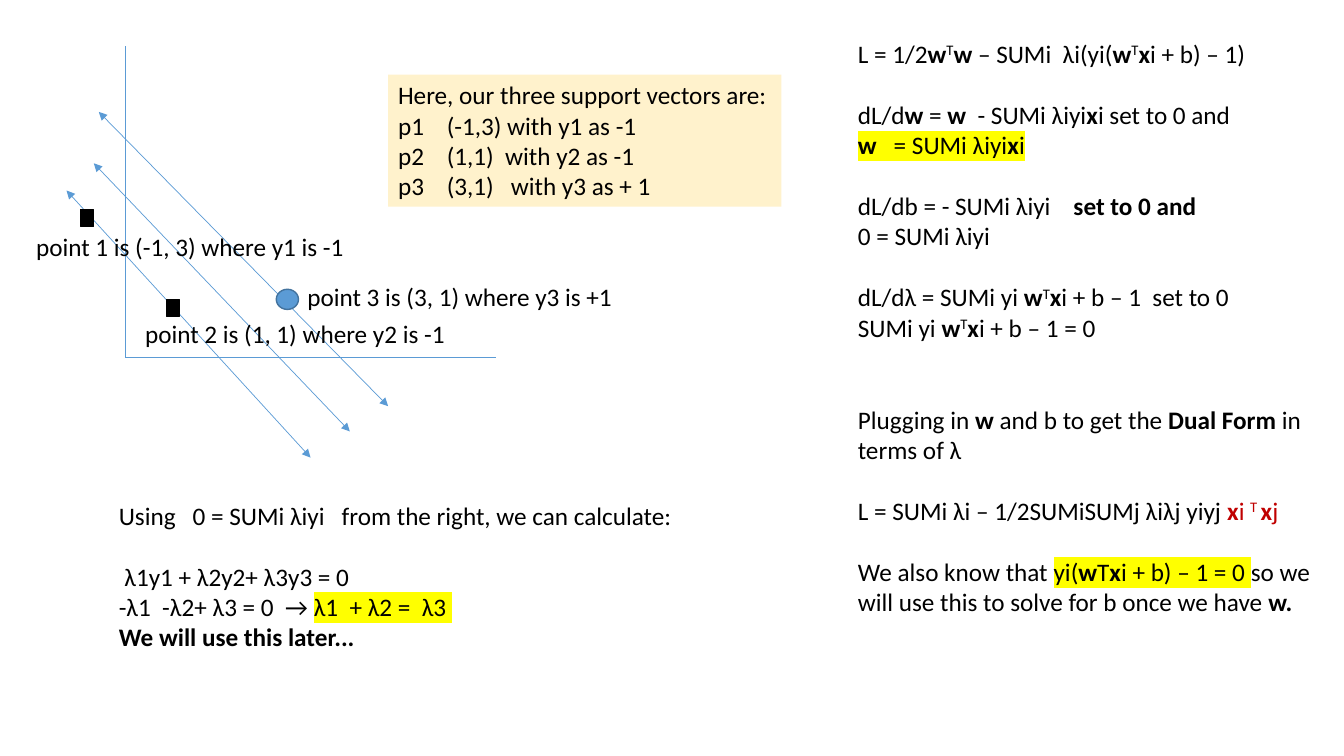
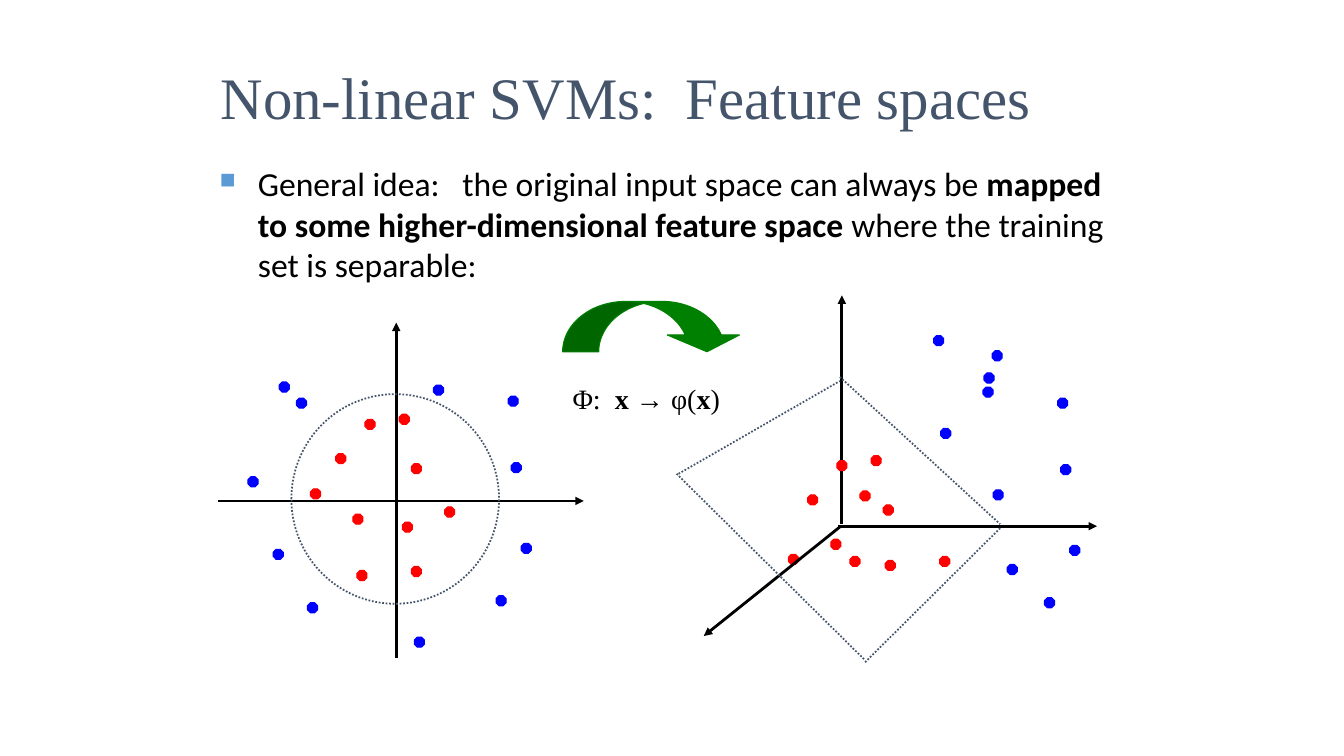
from dataclasses import dataclass

from lxml import etree
from pptx import Presentation
from pptx.dml.color import RGBColor
from pptx.enum.dml import MSO_LINE
from pptx.enum.shapes import MSO_CONNECTOR, MSO_SHAPE
from pptx.enum.text import MSO_ANCHOR, MSO_AUTO_SIZE, PP_ALIGN
from pptx.oxml.ns import qn
from pptx.util import Inches, Pt

STRAIGHT = MSO_CONNECTOR.STRAIGHT
RECT, OVAL, OCTAGON = MSO_SHAPE.RECTANGLE, MSO_SHAPE.OVAL, MSO_SHAPE.OCTAGON
CURVED_ARROW = MSO_SHAPE.CURVED_DOWN_ARROW
DOTTED = MSO_LINE.ROUND_DOT
TOP, MIDDLE = MSO_ANCHOR.TOP, MSO_ANCHOR.MIDDLE
LEFT = PP_ALIGN.LEFT
FIT, FIXED = MSO_AUTO_SIZE.SHAPE_TO_FIT_TEXT, MSO_AUTO_SIZE.NONE


@dataclass(frozen=True)
class Theme:
    """Colours, fonts and type sizes of the deck."""
    ink: str = "000000"
    accent: str = "5B9BD5"
    accent_edge: str = "43739E"
    slate: str = "44546A"
    cream: str = "FFF2CC"
    marker: str = "FFFF00"
    emphasis: str = "C00000"
    red: str = "FF0000"
    blue: str = "0000FF"
    green: str = "008000"
    sans: str = "Calibri"
    serif: str = "Times New Roman"
    note: int = 18
    formula: int = 20
    body: int = 24
    title: int = 42
    gap: int = 22
    dot: float = 0.1


T = Theme()

LAGRANGIAN = [
    (0, ["L = 1/2", ("w", "b"), ("T", "^"), ("w", "b"), " – SUMi  λi(yi(",
         ("w", "b"), ("T", "^"), ("x", "b"), "i + b) – 1)"]),
    (1, ["dL/d", ("w", "b"), " = ", ("w ", "b"), " - SUMi λiyi", ("x", "b"),
         "i set to 0 and"]),
    (0, [("w ", "bh"), ("  = SUMi λiyi", "h"), ("x", "bh"), ("i", "h")]),
    (1, ["dL/db = - SUMi λiyi", ("    set to 0 and", "b")]),
    (0, ["0 = SUMi λiyi"]),
    (1, ["dL/dλ = SUMi yi ", ("w", "b"), ("T", "^"), ("x", "b"),
         "i + b – 1  set to 0"]),
    (0, ["SUMi yi ", ("w", "b"), ("T", "^"), ("x", "b"), "i + b – 1 = 0"]),
    (2, ["Plugging in ", ("w", "b"), " and b to get the ", ("Dual Form", "b"),
         " in terms of λ"]),
    (1, ["L = SUMi λi – 1/2SUMiSUMj λiλj yiyj ", ("x", "br"), ("i ", "r"),
         ("T ", "^r"), ("x", "br"), ("j", "r")]),
    (1, ["We also know that ", ("yi(", "h"), ("w", "bh"), ("T", "h"),
         ("x", "bh"), ("i + b) – 1 = 0 ", "h"),
         "so we will use this to solve for b once we have ", ("w.", "b")]),
]
CONSTRAINT = [
    (0, ["Using   0 = SUMi λiyi   from the right, we can calculate:"]),
    (1, [" λ1y1 + λ2y2+ λ3y3 = 0"]),
    (0, ["-λ1  -λ2+ λ3 = 0  → ", ("λ1  + λ2 =  λ3", "h"), (" ", "bh")]),
    (0, [("We will use this later...", "b")]),
]
SUPPORT_VECTORS = [
    (0, ["Here, our three support vectors are:"]),
    (0, ["p1    (-1,3) with y1 as -1"]),
    (0, ["p2    (1,1)  with y2 as -1"]),
    (0, ["p3    (3,1)   with y3 as + 1"]),
]
IDEA = [(0, ["General idea:   the original input space can always be ",
             ("mapped to some higher-dimensional feature space ", "b"),
             "where the training set is separable:"])]
MAPPING = [(0, ["Φ:  ", ("x → ", "b"), "φ(", ("x", "b"), ")"])]

MARGINS = [(-0.58, 1.43, 1.84, 4.08), (-0.26, 0.65, 2.61, 3.57),
           (-0.31, 1.16, 2.23, 3.82)]
MARKERS = [(OVAL, (1.5, 2.41, 0.22, 0.2), T.accent, T.accent_edge),
           (RECT, (0.41, 2.51, 0.13, 0.17), T.ink, T.ink),
           (RECT, (-0.44, 1.62, 0.13, 0.17), T.ink, T.ink)]
LABELS = [("point 3 is (3, 1) where y3 is +1", 1.71, 2.28, 3.38),
          ("point 2 is (1, 1) where y2 is -1", 0.1, 2.65, 3.22),
          ("point 1 is (-1, 3) where y1 is -1", -0.98, 1.79, 3.29)]

PLANE_RED = [(1.8, 0.91), (1.17, 1.3), (1.34, 1.9), (1.92, 2.42), (1.46, 0.96),
             (0.92, 1.65), (1.38, 2.46), (1.92, 1.4), (2.25, 1.83), (1.83, 1.98)]
PLANE_BLUE = [(2.91, 1.39), (2.76, 2.71), (0.3, 1.53), (1.95, 3.12),
              (3.01, 2.19), (0.89, 2.78), (0.55, 2.25), (0.61, 0.59),
              (2.14, 0.62), (0.78, 0.75), (2.88, 0.73)]
SPACE_RED = [(1.93, 1.59), (1.3, 1.98), (1.72, 2.59), (2.61, 2.59),
             (1.59, 1.64), (1.82, 1.94), (2.07, 2.63), (2.05, 2.08),
             (1.53, 2.42), (1.11, 2.57)]
SPACE_BLUE = [(3.81, 1.68), (3.65, 3), (3.13, 0.55), (3.14, 1.93), (3.9, 2.48),
              (2.62, 1.32), (3.28, 2.67), (3.05, 0.77), (3.04, 0.91),
              (2.55, 0.4), (3.78, 1.02)]
BOUNDARY = [(1.62, 0.81, 3.21, 2.27), (1.87, 3.64, 3.21, 2.31),
            (0.02, 1.77, 1.62, 0.85), (0, 1.77, 1.87, 3.62)]


def rgb(color):
    """Turn a hex string into a colour."""
    return RGBColor.from_string(color)


def shift(box, part):
    """Move a part by the corner of the box that holds it."""
    return (box[0] + part[0], box[1] + part[1], *part[2:])


def set_attrs(obj, values):
    """Set every attribute named in a dict of format values."""
    for name, value in values.items():
        setattr(obj, name, value)


def add_run(p, text, flags, font):
    """Add a run; flags are b bold, ^ superscript, h highlight, r red."""
    r = p.add_run()
    r.text = text
    set_attrs(r.font, {**font, "bold": "b" in flags})
    r.font.color.rgb = rgb(T.emphasis if "r" in flags else T.ink)
    rpr = r.font._element
    if "^" in flags:
        rpr.set("baseline", "30000")
    if "h" in flags:
        mark = etree.Element(qn("a:highlight"))
        etree.SubElement(mark, qn("a:srgbClr"), val=T.marker)
        rpr.find(qn("a:solidFill")).addnext(mark)
    return r


def fill_text(sp, paras, size, name=T.sans, wrap=True, fit=FIT, anchor=TOP):
    """Write paragraphs, each given as (gap lines before, runs)."""
    tf = sp.text_frame
    set_attrs(tf, {"word_wrap": wrap, "auto_size": fit, "vertical_anchor": anchor})
    for i, (gaps, runs) in enumerate(paras):
        p = tf.paragraphs[0] if i == 0 else tf.add_paragraph()
        set_attrs(p, {"alignment": LEFT, "space_before": Pt(gaps * T.gap)})
        for run in runs:
            text, flags = (run, "") if isinstance(run, str) else run
            add_run(p, text, flags, {"size": Pt(size), "name": name})
    return tf


def add_text(s, box, paras, size, **options):
    """Add a text box and return its text frame."""
    return fill_text(s.shapes.add_textbox(*map(Inches, box)), paras, size, **options)


def add_figure(s, kind, box, fill=None, line=None, width=0.75):
    """Add a preset shape without shadow."""
    sp = s.shapes.add_shape(kind, *map(Inches, box))
    sp.shadow.inherit = False
    if fill:
        sp.fill.solid()
        sp.fill.fore_color.rgb = rgb(fill)
    else:
        sp.fill.background()
    if line:
        sp.line.color.rgb = rgb(line)
        sp.line.width = Pt(width)
    else:
        sp.line.fill.background()
    return sp


def add_line(s, box, ends, color, width, arrows=(), dash=None):
    """Add a straight line inside a box, with arrowheads at the named ends."""
    x1, y1, x2, y2 = ends
    points = shift(box, (x1, y1)) + shift(box, (x2, y2))
    cx = s.shapes.add_connector(STRAIGHT, *map(Inches, points))
    cx.line.color.rgb = rgb(color)
    set_attrs(cx.line, {"width": Pt(width), "dash_style": dash})
    sppr = cx._element.spPr
    for end in arrows:
        etree.SubElement(sppr.find(qn("a:ln")), qn(f"a:{end}"), type="triangle")
    etree.SubElement(sppr, qn("a:effectLst"))


def add_axis(s, box, ends):
    """Add a black axis with an arrowhead."""
    add_line(s, box, ends, T.ink, 2, ["tailEnd"])


def add_dots(s, box, red, blue):
    """Scatter the two classes of points inside a box."""
    for color, dots in ((T.red, red), (T.blue, blue)):
        for dot in dots:
            add_figure(s, OCTAGON, shift(box, (*dot, T.dot, T.dot)), color, color)


def support_vector_plot(s, box):
    """Draw the axes, margin lines and labelled support vectors."""
    w, h = box[2:]
    for ends in ((0, 0, 0, h), (0, h, w, h)):
        add_line(s, box, ends, T.accent, 0.5)
    for ends in MARGINS:
        add_line(s, box, ends, T.accent, 0.5, ["headEnd", "tailEnd"])
    for kind, part, fill, line in MARKERS:
        add_figure(s, kind, shift(box, part), fill, line, 1)
    for text, x, y, width in LABELS:
        add_text(s, shift(box, (x, y, width, 0.4)), [(0, [text])], T.note, wrap=False)


def input_plane(s, box):
    """Draw the two-dimensional input space with its circular boundary."""
    w, h = box[2:]
    center = 1.77
    add_axis(s, box, (center, h, center, 0))
    add_axis(s, box, (0, center, w, center))
    add_dots(s, box, PLANE_RED, PLANE_BLUE)
    circle = add_figure(s, OVAL, shift(box, (0.73, 0.71, 2.06, 2.08)),
                        line=T.slate, width=1.25)
    circle.line.dash_style = DOTTED


def feature_space(s, box):
    """Draw the three-dimensional feature space with its separating plane."""
    add_axis(s, box, (1.64, 2.27, 1.64, 0))
    add_axis(s, box, (1.6, 2.29, box[2], 2.29))
    add_dots(s, box, SPACE_RED, SPACE_BLUE)
    add_axis(s, box, (1.63, 2.29, 0.27, 3.38))
    for ends in BOUNDARY:
        add_line(s, box, ends, T.slate, 1.25, dash=DOTTED)


def mapping_arrow(s, box):
    """Draw the curved arrow with the mapping formula below it."""
    sp = add_figure(s, CURVED_ARROW, box, T.green, T.green)
    for i, value in enumerate((0.717, 1.433, 0.333)):
        sp.adjustments[i] = value
    add_text(s, shift(box, (0, 0.75, 2.08, 0.43)), MAPPING, T.formula, name=T.serif)


def add_title(s, box, text):
    """Add the slide title."""
    tf = add_text(s, box, [(0, [text])], T.title, name=T.serif, fit=FIXED,
                  anchor=MIDDLE)
    tf.paragraphs[0].runs[0].font.color.rgb = rgb(T.slate)


def add_bullet_text(s, box, paras):
    """Add body text with square bullets."""
    tf = add_text(s, box, paras, T.body, fit=FIXED)
    for p in tf.paragraphs:
        ppr = p._p.get_or_add_pPr()
        ppr.set("marL", str(Inches(0.38)))
        ppr.set("indent", str(-Inches(0.38)))
        color = etree.SubElement(ppr, qn("a:buClr"))
        etree.SubElement(color, qn("a:srgbClr"), val=T.accent)
        etree.SubElement(ppr, qn("a:buSzPct"), val="65000")
        etree.SubElement(ppr, qn("a:buChar"), char="■")


def dual_form_slide(s):
    """Build the slide that derives the dual form."""
    support_vector_plot(s, (1.24, 0.46, 3.68, 3.09))
    add_text(s, (8.41, 0.33, 4.75, 5.86), LAGRANGIAN, T.note)
    panel = add_figure(s, RECT, (3.85, 0.74, 3.9, 1.31), T.cream)
    fill_text(panel, SUPPORT_VECTORS, T.note, wrap=False)
    add_text(s, (1.08, 4.91, 5.76, 1.63), CONSTRAINT, T.note, wrap=False)


def feature_space_slide(s):
    """Build the slide on mapping to a feature space."""
    add_title(s, (2.09, 0.54, 8.5, 0.83), "Non-linear SVMs:  Feature spaces")
    add_bullet_text(s, (2.08, 1.57, 9, 5.5), IDEA)
    input_plane(s, (2.16, 3.2, 3.63, 3.33))
    feature_space(s, (6.71, 2.93, 4.17, 3.64))
    mapping_arrow(s, (5.58, 2.99, 1.79, 0.5))


def main():
    """Build and save the deck."""
    prs = Presentation()
    set_attrs(prs, {"slide_width": Inches(13.33), "slide_height": Inches(7.5)})
    for build in (dual_form_slide, feature_space_slide):
        build(prs.slides.add_slide(prs.slide_layouts[6]))
    prs.save("out.pptx")


if __name__ == "__main__":
    main()
